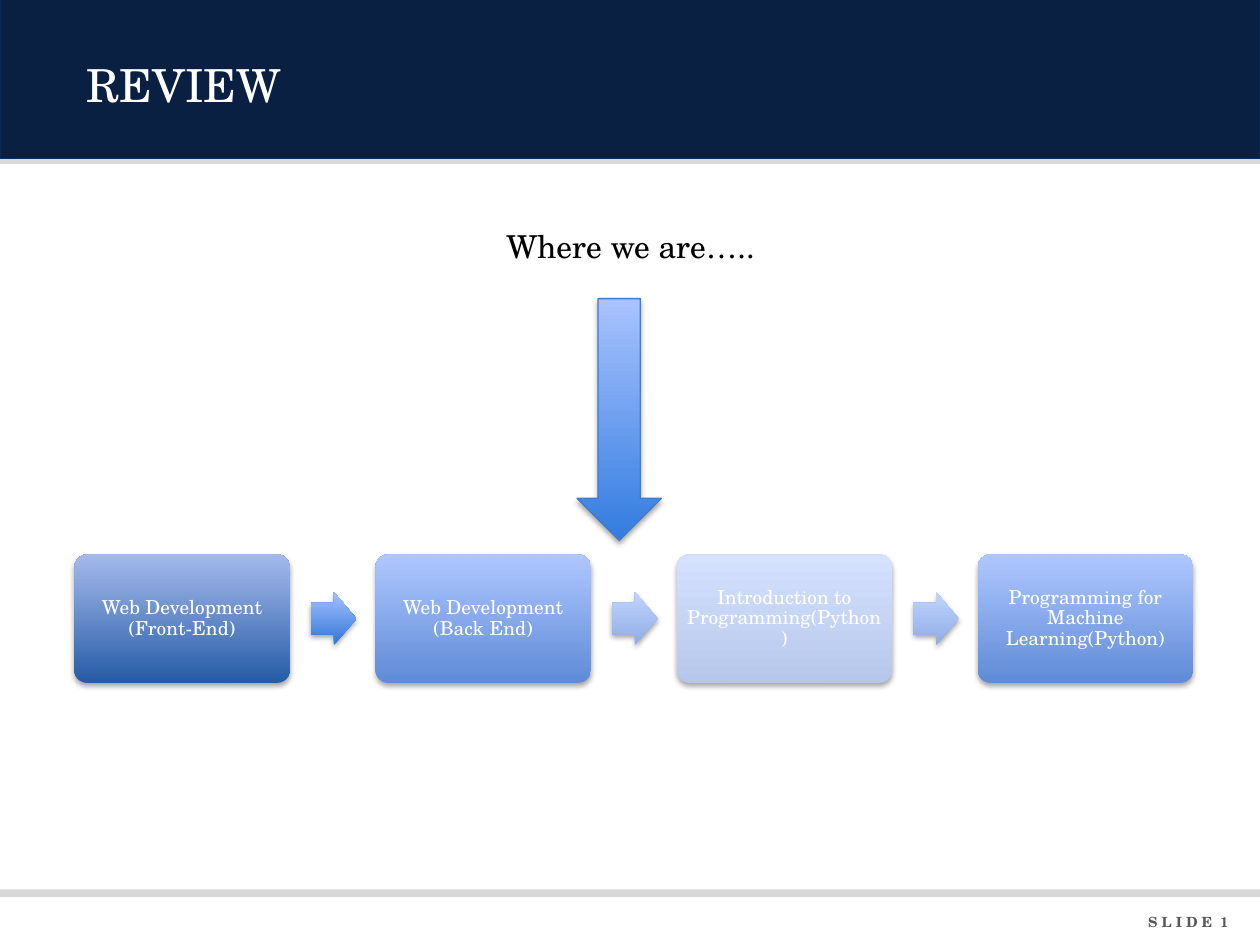
from lxml.etree import SubElement
from pptx import Presentation
from pptx.dml.color import RGBColor
from pptx.enum.shapes import MSO_SHAPE
from pptx.enum.text import MSO_ANCHOR, PP_ALIGN
from pptx.oxml.ns import qn
from pptx.util import Inches, Pt

FONT = "TeX Gyre Schola"
COLORS = {
    "navy": "0A2043", "navy_edge": "002B5C", "rule": "DAD9D9",
    "white": "FFFFFF", "black": "000000", "footer": "585858",
    "pointer_edge": "417CCB",
}
# Gradients run from the bottom colour to the top colour
GRADIENTS = {
    "front_end": ("255CA6", "A5BAED"),
    "course": ("5F8BD7", "AFC7FF"),
    "faded": ("B7C7EB", "D5E1FF"),
    "strong_arrow": ("3076D6", "A5C0FF"),
    "soft_arrow": ("8EACE4", "C2D5FF"),
    "pointer": ("327CE0", "A9C3FF"),
}

prs = Presentation()
prs.slide_width, prs.slide_height = Inches(10), Inches(7.5)
slide = prs.slides.add_slide(prs.slide_layouts[6])


def write(shape, text, size, color, align=PP_ALIGN.LEFT, anchor=MSO_ANCHOR.TOP):
    frame = shape.text_frame
    frame.word_wrap = True
    frame.vertical_anchor = anchor
    paragraph = frame.paragraphs[0]
    paragraph.text = text
    paragraph.alignment = align
    paragraph.font.name = FONT
    paragraph.font.size = Pt(size)
    paragraph.font.color.rgb = RGBColor.from_string(COLORS[color])
    return paragraph


def add_gradient_shape(kind, left, top, width, height, gradient):
    shape = slide.shapes.add_shape(
        kind, Inches(left), Inches(top), Inches(width), Inches(height))
    shape.fill.gradient()
    shape.fill.gradient_angle = 90
    for stop, position, color in zip(shape.fill.gradient_stops, (0, 1), GRADIENTS[gradient]):
        stop.position = position
        stop.color.rgb = RGBColor.from_string(color)
    shape.line.fill.background()
    # Soft shadow straight below
    shape.shadow.inherit = False
    effects = shape._element.spPr.find(qn("a:effectLst"))
    shadow = SubElement(effects, qn("a:outerShdw"), blurRad=str(Pt(3.1)),
                        dist=str(Pt(1.8)), dir="5400000", rotWithShape="0")
    shadow_color = SubElement(shadow, qn("a:srgbClr"), val=COLORS["black"])
    SubElement(shadow_color, qn("a:alpha"), val="35000")
    return shape


# Header band and the grey rules
for top, height, color, edge in (
    (1.05, 0.25, "rule", None),
    (-0.01, 1.27, "navy", "navy_edge"),
    (7.06, 0.06, "rule", None),
):
    band = slide.shapes.add_shape(
        MSO_SHAPE.RECTANGLE, 0, Inches(top), prs.slide_width, Inches(height))
    band.shadow.inherit = False
    band.fill.solid()
    band.fill.fore_color.rgb = RGBColor.from_string(COLORS[color])
    if edge:
        band.line.color.rgb = RGBColor.from_string(COLORS[edge])
        band.line.width = Pt(0.75)
    else:
        band.line.fill.background()

# Title and slide number
title = slide.shapes.add_textbox(Inches(0.59), Inches(0.17), Inches(8.9), Inches(1))
write(title, "REVIEW", 26, "white", anchor=MSO_ANCHOR.MIDDLE)
footer = slide.shapes.add_textbox(Inches(8.43), Inches(7.2), Inches(1.42), Inches(0.23))
write(footer, "S L I D E  1", 8, "footer", PP_ALIGN.RIGHT).font.bold = True

# Course sequence, with an arrow after every course but the last
courses = (
    ("Web Development (Front-End)", "front_end", "strong_arrow"),
    ("Web Development (Back End)", "course", "soft_arrow"),
    ("Introduction to Programming(Python)", "faded", "soft_arrow"),
    ("Programming for Machine Learning(Python)", "course", None),
)
for index, (name, gradient, arrow_gradient) in enumerate(courses):
    left = 0.59 + 2.39 * index
    course = add_gradient_shape(
        MSO_SHAPE.ROUNDED_RECTANGLE, left, 4.4, 1.71, 1.02, gradient)
    course.adjustments[0] = 0.1
    frame = course.text_frame
    frame.margin_left = frame.margin_right = Inches(0.05)
    frame.margin_top = frame.margin_bottom = Inches(0.05)
    label = write(course, name, 11, "white", PP_ALIGN.CENTER, MSO_ANCHOR.MIDDLE)
    label.line_spacing = 0.9
    if arrow_gradient:
        arrow = add_gradient_shape(
            MSO_SHAPE.RIGHT_ARROW, left + 1.88, 4.7, 0.36, 0.42, arrow_gradient)
        arrow.adjustments[0] = 0.6

# Pointer to the current position
pointer = add_gradient_shape(MSO_SHAPE.DOWN_ARROW, 4.58, 2.37, 0.67, 1.92, "pointer")
pointer.line.color.rgb = RGBColor.from_string(COLORS["pointer_edge"])
pointer.line.width = Pt(0.75)
caption = slide.shapes.add_textbox(Inches(3.92), Inches(1.75), Inches(3.42), Inches(0.4))
write(caption, "Where we are…..", 18, "black")

prs.save("out.pptx")
